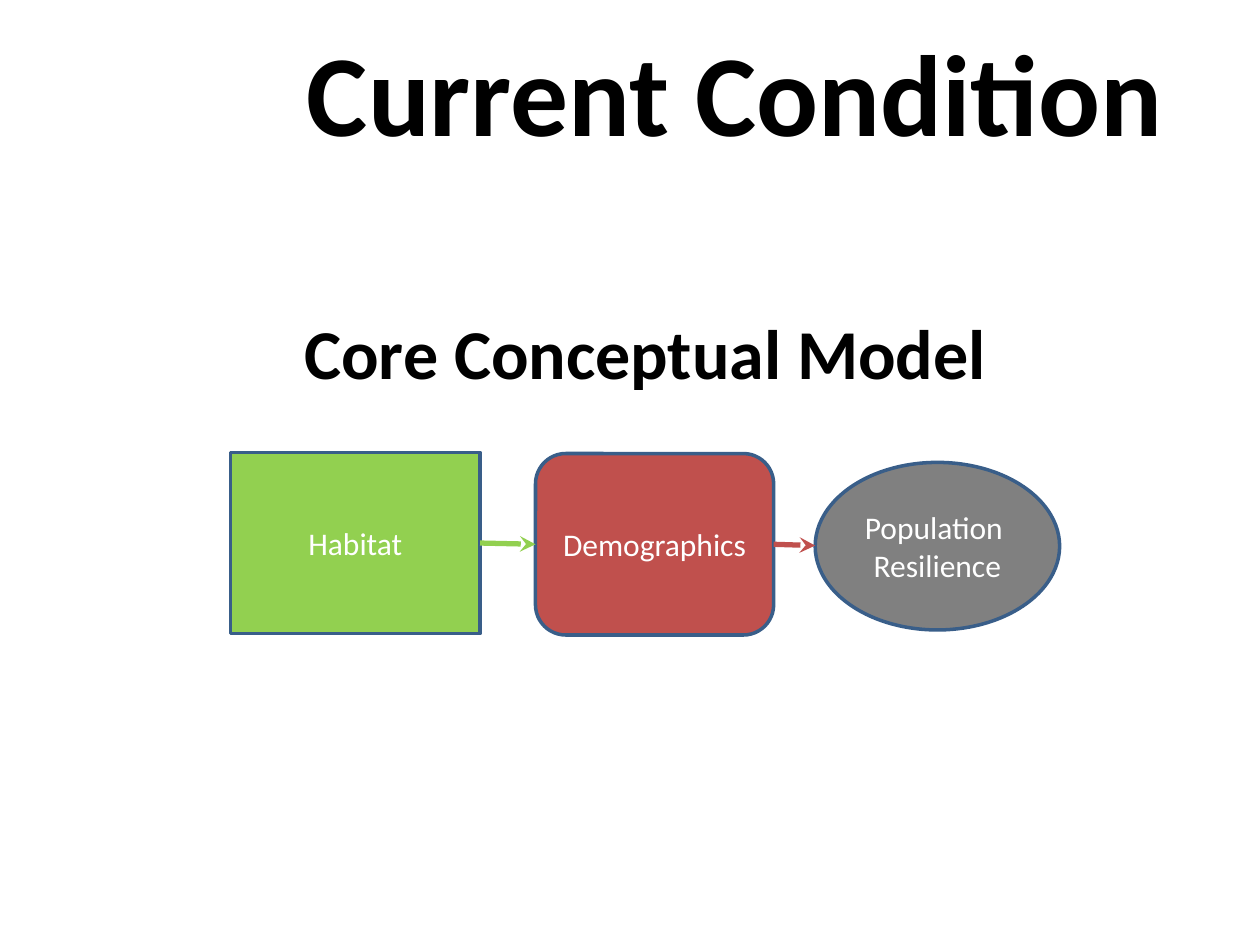
from pptx import Presentation
from pptx.dml.color import RGBColor
from pptx.enum.shapes import MSO_CONNECTOR, MSO_SHAPE as SHAPE
from pptx.enum.text import MSO_ANCHOR as ANCHOR, PP_ALIGN
from pptx.oxml.ns import qn
from pptx.util import Inches, Pt
from lxml.etree import SubElement

COLORS = {
    "ink": "000000",
    "label": "FFFFFF",
    "outline": "395E89",
    "habitat": "92D050",
    "demographics": "C0504D",
    "resilience": "808080",
}

deck = Presentation()
deck.slide_width, deck.slide_height = Inches(10), Inches(7.5)
slide = deck.slides.add_slide(deck.slide_layouts[6])


def color(name):
    return RGBColor.from_string(COLORS[name])


def write(holder, text, size, ink, anchor, bold=False):
    frame = holder.text_frame
    frame.word_wrap = True
    frame.vertical_anchor = anchor
    paragraph = frame.paragraphs[0]
    paragraph.text = text
    paragraph.alignment = PP_ALIGN.CENTER
    font = paragraph.font
    font.name, font.size, font.bold = "Calibri", Pt(size), bold
    font.color.rgb = color(ink)


# Headings: text, size, anchor, box in inches
headings = [
    ("Core Conceptual Model", 40, ANCHOR.MIDDLE, (1.3, 2.33, 7.64, 0.92)),
    ("Current Condition", 66, ANCHOR.TOP, (2.17, 0.12, 7.33, 1.21)),
]
for text, size, anchor, box in headings:
    heading = slide.shapes.add_textbox(*map(Inches, box))
    write(heading, text, size, "ink", anchor, bold=True)

# Stages of the model, left to right
stages = [
    ("habitat", "Habitat", SHAPE.RECTANGLE, (1.83, 3.59, 1.98, 1.44)),
    ("demographics", "Demographics", SHAPE.ROUNDED_RECTANGLE, (4.25, 3.6, 1.89, 1.44)),
    ("resilience", "Population \vResilience", SHAPE.OVAL, (6.47, 3.67, 1.94, 1.33)),
]
nodes = {}
for stage, label, outline, box in stages:
    node = slide.shapes.add_shape(outline, *map(Inches, box))
    node.shadow.inherit = False
    node.fill.solid()
    node.fill.fore_color.rgb = color(stage)
    node.line.color.rgb = color("outline")
    node.line.width = Pt(2)
    write(node, label, 18, "label", ANCHOR.MIDDLE)
    nodes[stage] = node

# Arrows take the colour of the stage they leave
arrows = [
    ("habitat", (3.81, 4.31), (4.25, 4.31)),
    ("demographics", (6.14, 4.32), (6.47, 4.33)),
]
for stage, start, end in arrows:
    arrow = slide.shapes.add_connector(MSO_CONNECTOR.STRAIGHT, *map(Inches, start + end))
    arrow.begin_connect(nodes[stage], 3)
    if stage == "habitat":
        arrow.end_connect(nodes["demographics"], 1)
    arrow.line.color.rgb = color(stage)
    arrow.line.width = Pt(3)
    SubElement(arrow.line._get_or_add_ln(), qn("a:tailEnd"), type="stealth")
    SubElement(arrow._element.spPr, qn("a:effectLst"))

deck.save("out.pptx")
